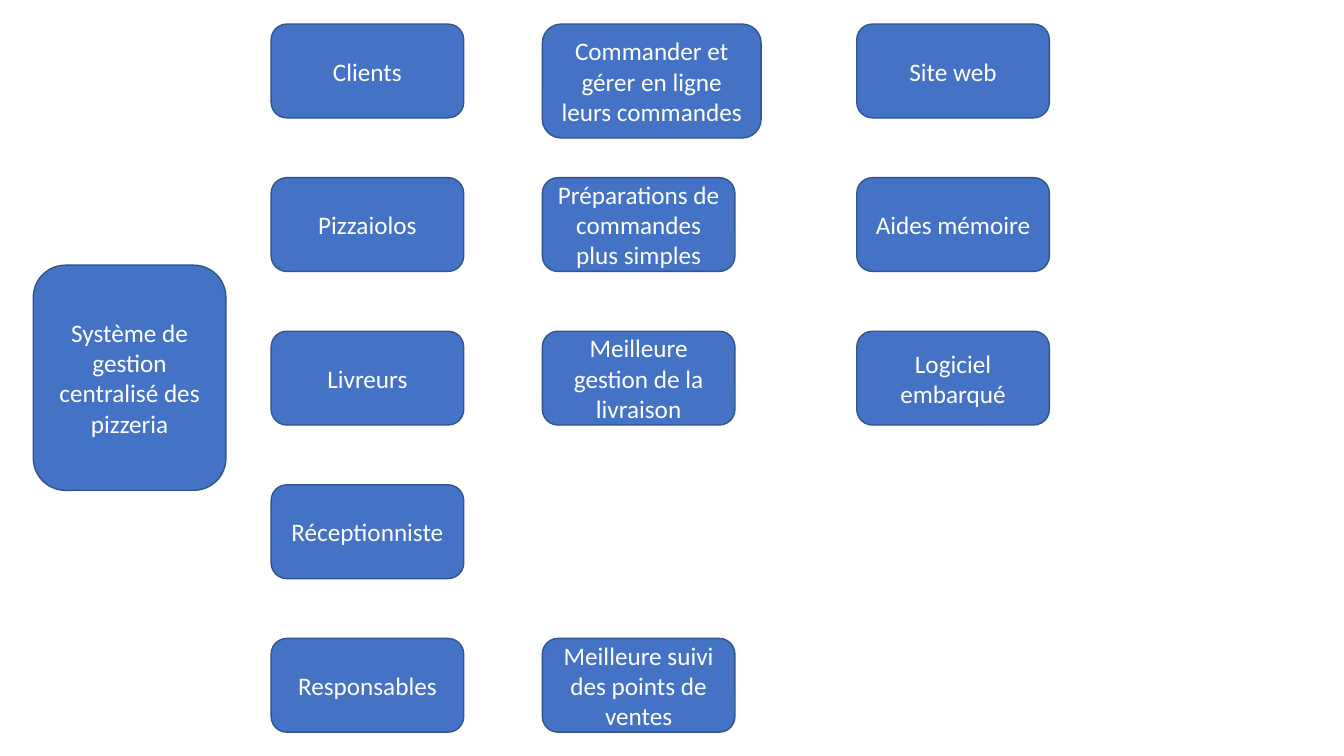
from pptx import Presentation
from pptx.dml.color import RGBColor
from pptx.enum.shapes import MSO_SHAPE
from pptx.enum.text import MSO_ANCHOR, PP_ALIGN
from pptx.util import Pt

WIDTH, HEIGHT = 137.6, 67
TOP, PITCH = 17.2, 109.7
COLUMNS = [
    (193.7, ["Clients", "Pizzaiolos", "Livreurs", "Réceptionniste", "Responsables"]),
    (387.4, ["Commander et gérer en ligne leurs commandes",
             "Préparations de commandes plus simples",
             "Meilleure gestion de la livraison",
             None,
             "Meilleure suivi des points de ventes"]),
    (612, ["Site web", "Aides mémoire", "Logiciel embarqué"]),
]
SIZES = {"Commander et gérer en ligne leurs commandes": (156.3, 81.4)}


def color(code):
    """Turn a hex string into a colour."""
    return RGBColor.from_string(code)


def write(frame, text, size=18, font="Calibri", fill="FFFFFF", align=PP_ALIGN.CENTER):
    """Put formatted text into a frame, centred vertically."""
    frame.word_wrap = True
    frame.vertical_anchor = MSO_ANCHOR.MIDDLE
    line = frame.paragraphs[0]
    line.alignment = align
    run = line.add_run()
    run.text = text
    run.font.size = Pt(size)
    run.font.name = font
    run.font.color.rgb = color(fill)


def add_box(slide, text, left, top, width=WIDTH, height=HEIGHT):
    """Add a rounded box with its label."""
    box = slide.shapes.add_shape(
        MSO_SHAPE.ROUNDED_RECTANGLE, Pt(left), Pt(top), Pt(width), Pt(height))
    box.shadow.inherit = False
    box.fill.solid()
    box.fill.fore_color.rgb = color("4472C4")
    box.line.color.rgb = color("325491")
    box.line.width = Pt(1)
    write(box.text_frame, text)


def add_column(slide, left, labels):
    """Stack boxes at an equal pitch, leaving a gap for each missing label."""
    for row, label in enumerate(labels):
        if label:
            size = SIZES.get(label, (WIDTH, HEIGHT))
            add_box(slide, label, left, TOP + row * PITCH, *size)


def main():
    """Build the slide and save it."""
    deck = Presentation()
    deck.slide_width, deck.slide_height = Pt(960), Pt(540)
    slide = deck.slides.add_slide(deck.slide_layouts[6])
    add_box(slide, "Système de gestion centralisé des pizzeria", 23.8, 189.4, height=160.8)
    for left, labels in COLUMNS:
        add_column(slide, left, labels)
    deck.save("out.pptx")


if __name__ == "__main__":
    main()
